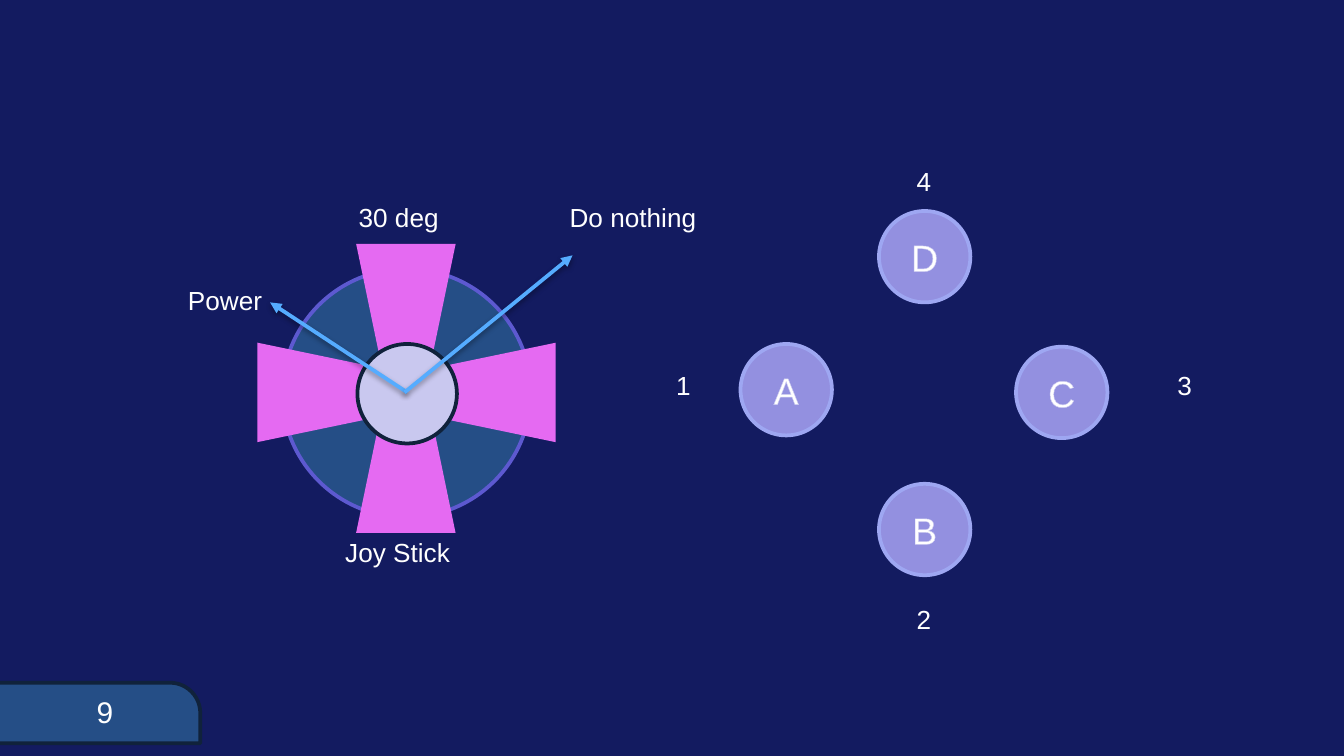
"""Build the joystick and button mapping slide."""
from lxml import etree
from pptx import Presentation
from pptx.dml.color import RGBColor
from pptx.enum.shapes import MSO_CONNECTOR, MSO_SHAPE as SHAPE
from pptx.enum.text import MSO_ANCHOR, MSO_AUTO_SIZE, PP_ALIGN as ALIGN
from pptx.oxml import parse_xml
from pptx.oxml.ns import nsdecls, qn
from pptx.util import Inches, Pt

COLORS = {
    "background": "131B60", "base": "254E86", "dark": "10223B", "ring": "5D59D0",
    "arm": "E56AF2", "hub": "C9C8EF", "arrow": "55ACFF", "button": "9390E0",
    "button_edge": "9EA7F2", "text": "FFFFFF", "shadow": "000000",
}
FONT = "Arial"
SLIDE_WIDTH = 10
SLIDE_HEIGHT = SLIDE_WIDTH * 9 / 16
PAGE_TAB = (-0.43, 5.08, 1.92, 0.45)
JOYSTICK = (2.1, 2, 1.85, 1.85)
HUB = (2.66, 2.56, 0.74, 0.74)
ARM_SIZE = (0.74, 0.89)
ARMS = [(3.69, 2.92, 270), (2.36, 2.92, 90), (3.02, 2.26, 180), (3.02, 3.52, 0)]
ARROWS = [((3.03, 2.92), (2.01, 2.25)), ((3.01, 2.92), (4.26, 1.9))]
LABELS = [
    ("Joy Stick", 2.47, 3.94, 1.19),
    ("30 deg", 2.57, 1.45, 0.89),
    ("Power", 1.3, 2.07, 0.77),
    ("Do nothing", 4.14, 1.45, 1.76),
]
BUTTON_SIZE = 0.68
NUMBER_WIDTH, LABEL_HEIGHT = 0.89, 0.34
BUTTONS = [
    ("A", 5.51, 2.56, "1", 4.64, 2.7),
    ("C", 7.56, 2.58, "3", 8.37, 2.7),
    ("D", 6.54, 1.57, "4", 6.43, 1.18),
    ("B", 6.54, 3.6, "2", 6.43, 4.44),
]


def rgb(name):
    return RGBColor.from_string(COLORS[name])


def write(frame, text, size, align):
    paragraph = frame.paragraphs[0]
    run = paragraph.add_run()
    run.text = text
    paragraph.alignment = align
    font = paragraph.font
    font.name, font.size = FONT, Pt(size)
    font.color.rgb = rgb("text")
    return run


def add_shape(slide, kind, box, fill, edge=None):
    shape = slide.shapes.add_shape(kind, *map(Inches, box))
    shape.shadow.inherit = False
    shape.fill.solid()
    shape.fill.fore_color.rgb = rgb(fill)
    if edge:
        shape.line.color.rgb = rgb(edge)
        shape.line.width = Pt(2)
    else:
        shape.line.fill.background()
    return shape


def add_label(slide, text, box, size=14, align=ALIGN.LEFT):
    label = slide.shapes.add_textbox(*map(Inches, box))
    frame = label.text_frame
    frame.word_wrap = True
    frame.auto_size = MSO_AUTO_SIZE.SHAPE_TO_FIT_TEXT
    write(frame, text, size, align)


def add_button(slide, letter, left, top):
    box = (left, top, BUTTON_SIZE, BUTTON_SIZE)
    button = add_shape(slide, SHAPE.OVAL, box, "button", "button_edge")
    button.text_frame.vertical_anchor = MSO_ANCHOR.MIDDLE
    run = write(button.text_frame, letter, 20, ALIGN.CENTER)
    outline = parse_xml(
        f'<a:ln {nsdecls("a")} w="{Pt(0.75)}"><a:solidFill>'
        f'<a:srgbClr val="{COLORS["hub"]}"/></a:solidFill></a:ln>')
    run._r.get_or_add_rPr().insert(0, outline)


def add_arrow(slide, start, end):
    arrow = slide.shapes.add_connector(
        MSO_CONNECTOR.STRAIGHT, *map(Inches, start + end))
    arrow.line.color.rgb = rgb("arrow")
    arrow.line.width = Pt(2)
    etree.SubElement(arrow.line._get_or_add_ln(), qn("a:tailEnd"), type="triangle")
    arrow._element.spPr.append(parse_xml(
        f'<a:effectLst {nsdecls("a")}><a:outerShdw blurRad="{Pt(3.1)}" '
        f'dist="{Pt(1.6)}" dir="5400000" rotWithShape="0">'
        f'<a:srgbClr val="{COLORS["shadow"]}"><a:alpha val="38000"/></a:srgbClr>'
        '</a:outerShdw></a:effectLst>'))


def main():
    deck = Presentation()
    deck.slide_width, deck.slide_height = Inches(SLIDE_WIDTH), Inches(SLIDE_HEIGHT)
    slide = deck.slides.add_slide(deck.slide_layouts[6])
    slide.background.fill.solid()
    slide.background.fill.fore_color.rgb = rgb("background")

    tab = add_shape(slide, SHAPE.ROUND_2_DIAG_RECTANGLE, PAGE_TAB, "base", "dark")
    tab.adjustments[0], tab.adjustments[1] = 0, 0.5
    add_label(slide, "9", (0.05, 5.11, 1.46, 0.37), 16, ALIGN.CENTER)

    add_shape(slide, SHAPE.OVAL, JOYSTICK, "base", "ring")
    width, height = ARM_SIZE
    for center_x, center_y, angle in ARMS:
        box = (center_x - width / 2, center_y - height / 2, width, height)
        add_shape(slide, SHAPE.TRAPEZOID, box, "arm").rotation = angle
    add_shape(slide, SHAPE.OVAL, HUB, "hub", "dark")

    for letter, left, top, number, number_left, number_top in BUTTONS:
        add_button(slide, letter, left, top)
        box = (number_left, number_top, NUMBER_WIDTH, LABEL_HEIGHT)
        add_label(slide, number, box, align=ALIGN.CENTER)
    for start, end in ARROWS:
        add_arrow(slide, start, end)
    for text, left, top, label_width in LABELS:
        add_label(slide, text, (left, top, label_width, LABEL_HEIGHT))
    deck.save("out.pptx")


if __name__ == "__main__":
    main()
